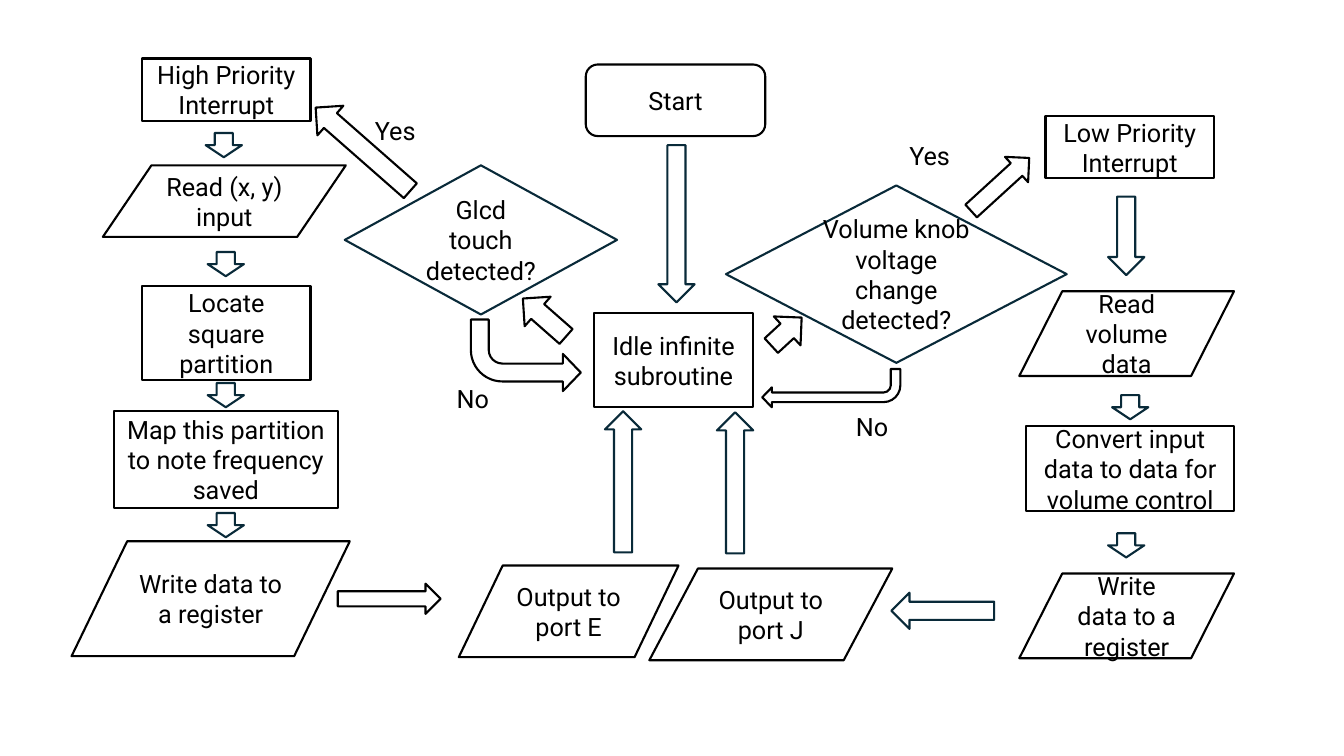
from dataclasses import dataclass

from pptx import Presentation
from pptx.dml.color import RGBColor
from pptx.enum.shapes import MSO_SHAPE
from pptx.enum.text import MSO_ANCHOR, MSO_AUTO_SIZE, PP_ALIGN
from pptx.util import Inches, Pt

BLACK, TEAL, WHITE = "000000", "092A39", "FFFFFF"
START = MSO_SHAPE.ROUNDED_RECTANGLE
PROCESS = MSO_SHAPE.FLOWCHART_PROCESS
DATA = MSO_SHAPE.FLOWCHART_DATA
DECISION = MSO_SHAPE.FLOWCHART_DECISION
LEFT_ARROW = MSO_SHAPE.LEFT_ARROW
BENT_ARROW = MSO_SHAPE.BENT_ARROW
UP, RIGHT, DOWN = 90, 180, 270  # rotations of a left arrow
LABEL_W, LABEL_H = 1.82, 0.4


@dataclass
class Node:
    kind: MSO_SHAPE
    text: str
    x: float
    y: float
    w: float
    h: float
    line: str = BLACK


@dataclass
class Arrow:
    """A block arrow placed by its centre."""
    cx: float
    cy: float
    length: float = 0.24
    rotation: float = DOWN
    thickness: float = 0.36
    line: str = TEAL


@dataclass
class BentArrow:
    x: float
    y: float
    w: float
    h: float
    flipped: bool = False


@dataclass
class Label:
    text: str
    cx: float
    y: float


NODES = [
    Node(START, "Start", 5.81, 0.64, 1.78, 0.71),
    Node(PROCESS, "Idle infinite subroutine", 5.89, 3.11, 1.58, 0.93),
    Node(DECISION, "Glcd touch detected?", 3.42, 1.64, 2.7, 1.48, TEAL),
    Node(DECISION, "Volume knob voltage change detected?", 7.2, 1.84, 3.38, 1.76, TEAL),
    # High priority branch
    Node(PROCESS, "High Priority Interrupt", 1.41, 0.58, 1.67, 0.62),
    Node(DATA, "Read (x, y) input", 1.02, 1.64, 2.41, 0.71),
    Node(PROCESS, "Locate square partition", 1.41, 2.84, 1.67, 0.93),
    Node(PROCESS, "Map this partition to note frequency saved", 1.13, 4.08, 2.22, 0.96),
    Node(DATA, "Write data to a register", 0.71, 5.37, 2.76, 1.14),
    Node(DATA, "Output to port E", 4.55, 5.61, 2.18, 0.91),
    # Low priority branch
    Node(PROCESS, "Low Priority Interrupt", 10.37, 1.15, 1.67, 0.62),
    Node(DATA, "Read volume data", 10.11, 2.89, 2.13, 0.84),
    Node(PROCESS, "Convert input data to data for volume control", 10.18, 4.23, 2.06, 0.84),
    Node(DATA, "Write data to a register", 10.11, 5.69, 2.13, 0.84),
    Node(DATA, "Output to port J", 6.44, 5.64, 2.41, 0.91),
]

ARROWS = [
    Arrow(6.71, 2.22, 1.56),
    # High priority branch
    Arrow(5.4, 3.15, 0.57, 41.3, 0.39, BLACK),
    Arrow(3.6, 1.48, 1.25, 41.3, 0.39, BLACK),
    Arrow(2.22, 1.44),
    Arrow(2.24, 2.62),
    Arrow(2.24, 3.92),
    Arrow(2.24, 5.21),
    Arrow(3.86, 5.94, 1.02, RIGHT, 0.3, BLACK),
    Arrow(6.18, 4.78, 1.4, UP),
    # Low priority branch
    Arrow(7.8, 3.29, 0.41, 137.3, 0.39, BLACK),
    Arrow(9.92, 1.83, 0.78, 137.6, 0.34, BLACK),
    Arrow(11.17, 2.34, 0.78),
    Arrow(11.21, 4.04),
    Arrow(11.17, 5.41),
    Arrow(9.35, 6.06, 1.02, 0),
    Arrow(7.29, 4.79, 1.4, UP),
]

BENT_ARROWS = [
    BentArrow(4.67, 3.17, 1.09, 0.71, flipped=True),
    BentArrow(7.56, 3.66, 1.37, 0.38),
]

LABELS = [
    Label("Yes", 3.92, 1.09),
    Label("No", 4.69, 3.75),
    Label("Yes", 9.22, 1.34),
    Label("No", 8.65, 4.03),
]


def color(hex_color: str) -> RGBColor:
    return RGBColor.from_string(hex_color)


def set_text(tf, text: str, *, size: float = 18, font: str = "Roboto",
             fill: str = BLACK, anchor=MSO_ANCHOR.MIDDLE) -> None:
    tf.word_wrap = True
    tf.vertical_anchor = anchor
    p = tf.paragraphs[0]
    p.alignment = PP_ALIGN.CENTER
    r = p.add_run()
    r.text = text
    r.font.size = Pt(size)
    r.font.name = font
    r.font.color.rgb = color(fill)


def add_outlined(s, kind: MSO_SHAPE, x: float, y: float, w: float, h: float,
                 line: str = BLACK, rotation: float = 0):
    sp = s.shapes.add_shape(kind, Inches(x), Inches(y), Inches(w), Inches(h))
    sp.shadow.inherit = False
    sp.fill.solid()
    sp.fill.fore_color.rgb = color(WHITE)
    sp.line.color.rgb = color(line)
    sp.line.width = Pt(1.5)
    sp.rotation = rotation
    return sp


def draw_node(s, n: Node) -> None:
    sp = add_outlined(s, n.kind, n.x, n.y, n.w, n.h, n.line)
    set_text(sp.text_frame, n.text)


def draw_arrow(s, a: Arrow) -> None:
    add_outlined(s, LEFT_ARROW, a.cx - a.length / 2, a.cy - a.thickness / 2,
                 a.length, a.thickness, a.line, a.rotation)


def draw_bent_arrow(s, b: BentArrow) -> None:
    sp = add_outlined(s, BENT_ARROW, b.x, b.y, b.w, b.h, rotation=180)
    for i, value in enumerate((0.25, 0.26, 0.25, 0.44)):
        sp.adjustments[i] = value
    if b.flipped:
        sp._element.spPr.xfrm.set("flipH", "1")


def draw_label(s, label: Label) -> None:
    box = s.shapes.add_textbox(Inches(label.cx - LABEL_W / 2), Inches(label.y),
                               Inches(LABEL_W), Inches(LABEL_H))
    set_text(box.text_frame, label.text, anchor=MSO_ANCHOR.TOP)
    box.text_frame.auto_size = MSO_AUTO_SIZE.SHAPE_TO_FIT_TEXT


def main() -> None:
    prs = Presentation()
    prs.slide_width, prs.slide_height = Inches(13.33), Inches(7.5)
    s = prs.slides.add_slide(prs.slide_layouts[6])
    for node in NODES:
        draw_node(s, node)
    for arrow in ARROWS:
        draw_arrow(s, arrow)
    for bent in BENT_ARROWS:
        draw_bent_arrow(s, bent)
    for label in LABELS:
        draw_label(s, label)
    prs.save("out.pptx")


if __name__ == "__main__":
    main()
